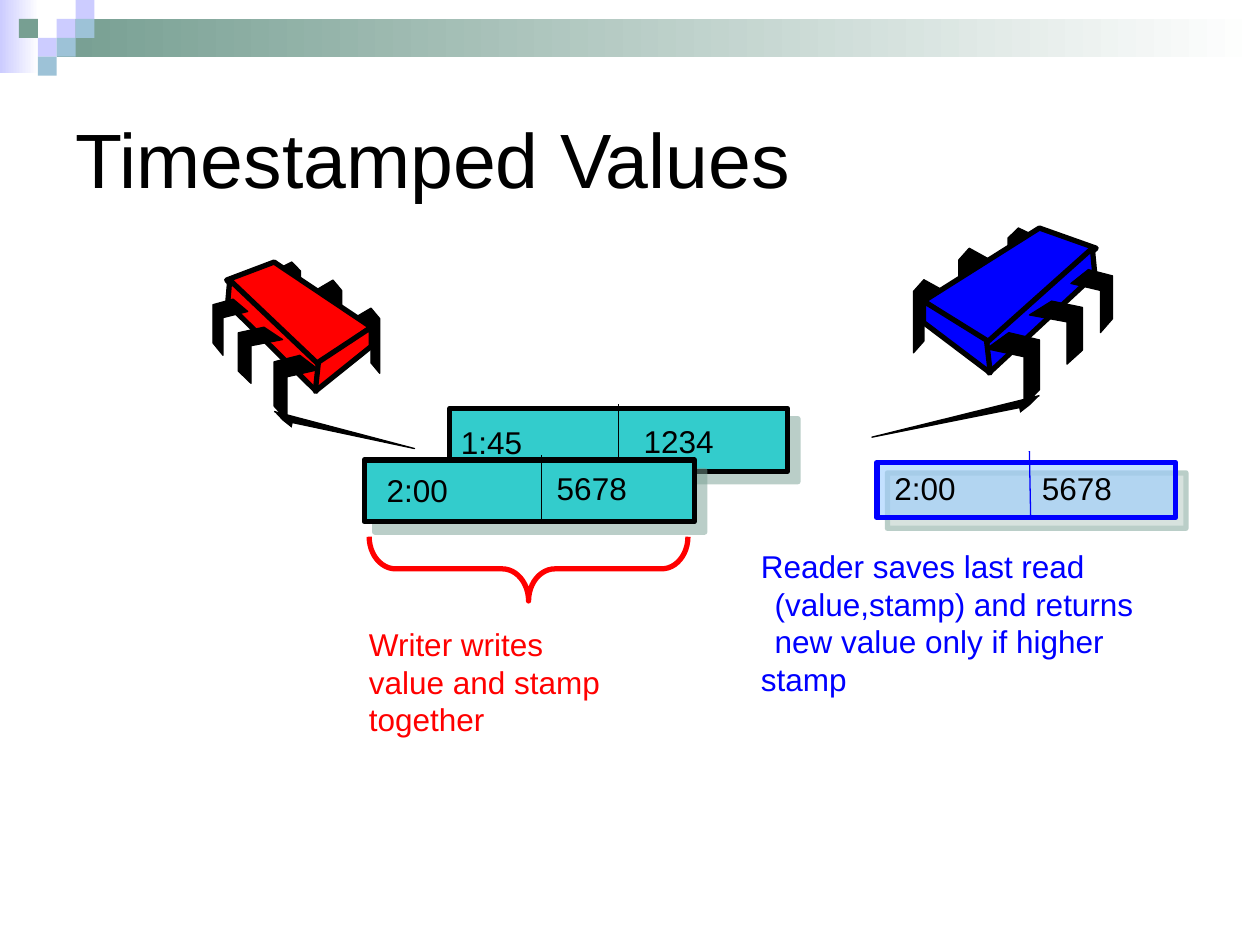
from lxml.etree import SubElement
from pptx import Presentation
from pptx.dml.color import RGBColor
from pptx.enum.shapes import MSO_CONNECTOR, MSO_SHAPE
from pptx.enum.text import MSO_ANCHOR
from pptx.oxml.ns import qn
from pptx.util import Cm, Pt

BLACK = RGBColor(0, 0, 0)
WHITE = RGBColor(255, 255, 255)
RED = RGBColor(255, 0, 0)
BLUE = RGBColor(0, 0, 255)
TEAL = RGBColor(0x33, 0xCC, 0xCC)
SKY = RGBColor(0x99, 0xCC, 0xFF)
LILAC = RGBColor(0xCC, 0xCC, 0xFF)
SAGE = RGBColor(0x77, 0x9F, 0x92)
MIST = RGBColor(0x9D, 0xC2, 0xD7)


def inch(n):
    return Cm(n * 2.54)


# Content, in inches
TITLE = "Timestamped Values"
BANDS = [((0, 0, 0.31, 0.58), LILAC), ((0.45, 0.15, 9.55, 0.3), SAGE)]
STEP = 0.15
TILES = [(3, 1, LILAC), (4, 0, LILAC), (4, 1, MIST), (2, 2, LILAC),
         (1, 1, SAGE), (3, 2, MIST), (2, 3, MIST)]

NOTES = [  # frame, colour, wrap, left margin, first indent, lines
    ((2.83, 4.91, 2.6, 1), RED, False, 0.25, -0.25,
     ["Writer writes", "value and stamp", "together"]),
    ((5.8, 4.29, 3.74, 1.3), BLUE, True, 0.25, -0.11,
     ["Reader saves last read (value,stamp) and returns new value only if higher",
      "stamp"]),
]

CELLS = [  # box, fill, alpha, line, divider, (text, left, top, width)
    ((3.57, 3.24, 2.68, 0.5), TEAL, None, BLACK, (4.91, 3.21, 4.91, 3.74),
     [("1234", 5.01, 3.3, 1.19), ("1:45", 3.56, 3.31, 1.32)]),
    ((2.89, 3.65, 2.62, 0.49), TEAL, None, BLACK, (4.3, 3.61, 4.3, 4.12),
     [("5678", 4.32, 3.67, 1.32), ("2:00", 2.97, 3.69, 1.32)]),
    ((6.96, 3.67, 2.37, 0.44), SKY, 59, BLUE, (8.17, 3.58, 8.18, 4.11),
     [("5678", 8.17, 3.67, 1.32), ("2:00", 7, 3.67, 1.08)]),
]

# Chip drawn in its own frame; legs are unit outlines placed by frame
CHIP = (1.91, 1.66)
BACK = [(1, .16), (.33, 0), (0, .16), (0, 1), (.33, .84), (.33, .29), (1, .43)]
FRONT = [(.42, 0), (0, .22), (.71, .33), (.71, 1), (1, .78), (1, .1)]
REAR = [(.33, .41, .25, .58), (.69, .16, .25, .58), (1.08, 0, .25, .5)]
NEAR = [(.91, .83, .42, .58), (1.25, .58, .42, .5), (1.58, .33, .33, .5)]
BODY = [
    [(1.33, 0), (.41, .58), (.93, .92), (1.78, .16)],
    [(1.75, .16), (.91, .91), (.93, 1.15), (1.77, .37)],
    [(.41, .58), (.41, .75), (.94, 1.15), (.91, .89)],
]
PEN = [(1.33, 1.33), (0, 1.66), (1.25, 1.41)]
CHIPS = [((6.92, 1.81, 1.91, 1.66), BLUE, False),
         ((1.69, 2.08, 1.6, 1.48), RED, True)]

deck = Presentation()
deck.slide_width, deck.slide_height = inch(10), inch(7.5)
slide = deck.slides.add_slide(deck.slide_layouts[6])
shapes = slide.shapes


def paint(shape, fill, line=None, width=3):
    shape.shadow.inherit = False
    if fill is None:
        shape.fill.background()
    else:
        shape.fill.solid()
        shape.fill.fore_color.rgb = fill
    if line is None:
        shape.line.fill.background()
    else:
        shape.line.color.rgb = line
        shape.line.width = Pt(width)


def rect(frame, fill, line=None):
    shape = shapes.add_shape(MSO_SHAPE.RECTANGLE, *map(inch, frame))
    paint(shape, fill, line)
    return shape


def label(frame, lines, size=18, color=BLACK, wrap=True,
          anchor=MSO_ANCHOR.MIDDLE, left=0, first=0):
    text = shapes.add_textbox(*map(inch, frame)).text_frame
    text.word_wrap, text.vertical_anchor = wrap, anchor
    text.text = "\n".join(lines)
    form = {"size": Pt(size), "name": "Arial"}
    for para in text.paragraphs:
        for key, value in form.items():
            setattr(para.font, key, value)
        para.font.color.rgb = color
        if left:
            props = para._p.get_or_add_pPr()
            props.set("marL", str(inch(left)))
            props.set("indent", str(inch(first)))


def alpha(fill, share):
    SubElement(fill, qn("a:alpha")).set("val", str(share * 1000))


def shade(shape):
    effects = shape._element.spPr.find(qn("a:effectLst"))
    drop = SubElement(effects, qn("a:outerShdw"), dist=str(Pt(8.5)),
                      dir="2700000", algn="ctr", rotWithShape="0")
    alpha(SubElement(drop, qn("a:srgbClr"), val=str(SAGE)), 50)


def outline(points, fill, width, closed=True):
    spots = [(inch(x), inch(y)) for x, y in points]
    pen = shapes.build_freeform(*spots[0])
    pen.add_line_segments(spots[1:], close=closed)
    shape = pen.convert_to_shape()
    paint(shape, fill, BLACK, width)
    return shape


def chip(frame, color, flip):
    left, top, wide, high = frame

    def place(points):
        for x, y in points:
            part = x / CHIP[0]
            yield left + wide * (1 - part if flip else part), top + high * y / CHIP[1]

    def legs(unit, frames):
        for x, y, w, h in frames:
            outline(place((x + w * u, y + h * v) for u, v in unit), BLACK, 0.74)

    legs(BACK, REAR)
    for face in BODY:
        outline(place(face), color, 3)
    legs(FRONT, NEAR)
    pen = outline(place(PEN), BLACK, 0.74, False)
    SubElement(pen.line._get_or_add_ln(), qn("a:tailEnd"), type="triangle")


# Corner decoration
for frame, color in BANDS:
    band = rect(frame, color)
    band.fill.gradient()
    band.fill.gradient_angle = 0
    for stop, tone, spot in zip(band.fill.gradient_stops, (color, WHITE), (0, 1)):
        stop.color.rgb = tone
        stop.position = spot
for col, row, color in TILES:
    rect((col * STEP, row * STEP, STEP, STEP), color)

# Title and notes
label((0.5, 0.5, 9, 1.5), [TITLE], 44)
for frame, color, wrap, left, first, lines in NOTES:
    label(frame, lines, 18, color, wrap, MSO_ANCHOR.TOP, left, first)

# Writer and reader chips
for item in CHIPS:
    chip(*item)

# Stamp and value boxes
for frame, fill, share, line, ends, texts in CELLS:
    box = rect(frame, fill, line)
    shade(box)
    if share:
        alpha(box._element.spPr.find(qn("a:solidFill"))[0], share)
    rule = shapes.add_connector(MSO_CONNECTOR.STRAIGHT, *map(inch, ends))
    rule.line.color.rgb, rule.line.width = line, Pt(0.74)
    SubElement(rule._element.spPr, qn("a:effectLst"))
    for word, x, y, w in texts:
        label((x, y, w, 0.4), [word])

# Brace under the written pair
brace = shapes.add_shape(MSO_SHAPE.RIGHT_BRACE, *map(inch, (3.94, 3.25, 0.51, 2.53)))
brace.rotation = 90
brace.adjustments[0], brace.adjustments[1] = 0.41, 0.5
paint(brace, None, RED)

deck.save("out.pptx")
